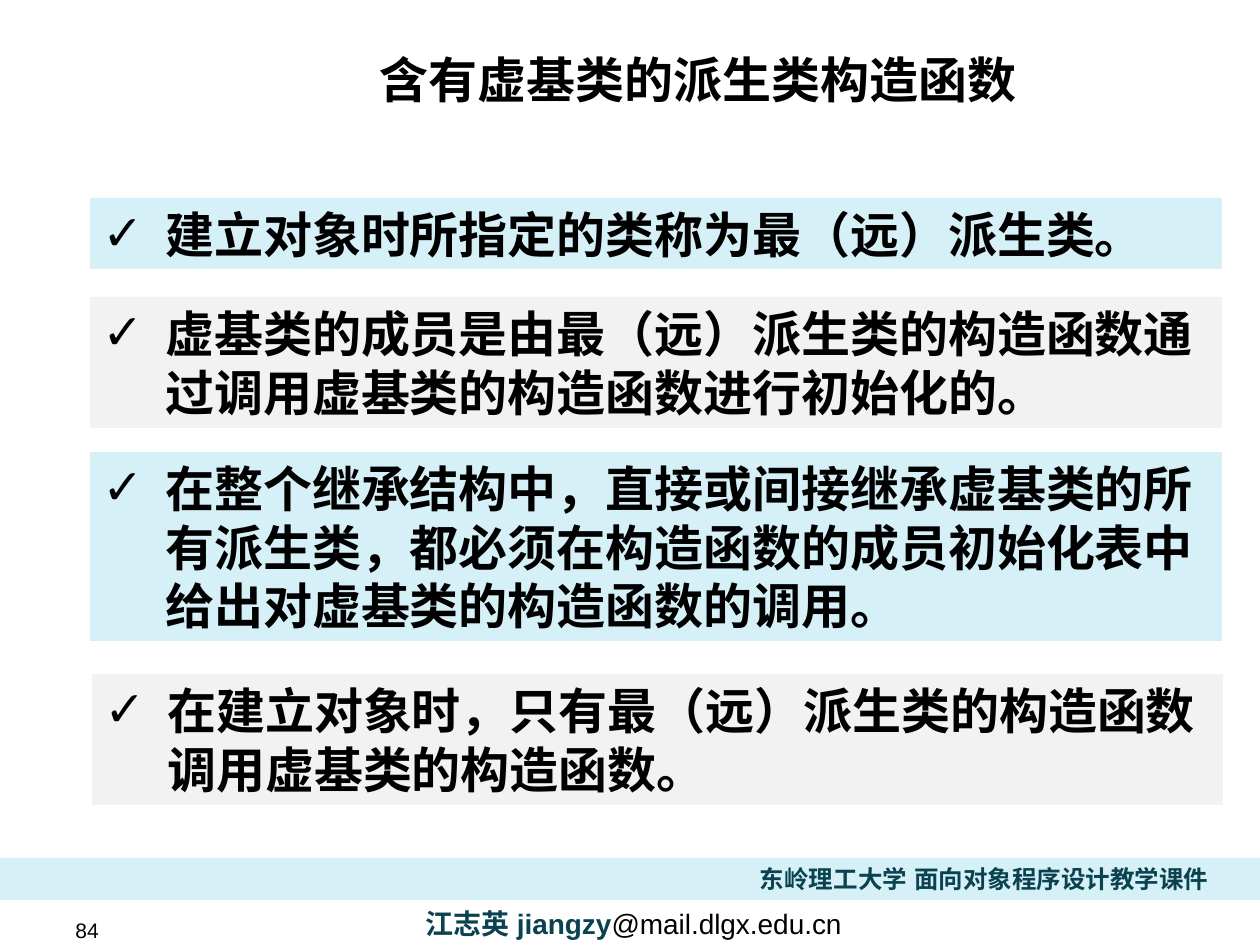
from lxml import etree
from pptx import Presentation
from pptx import util as u
from pptx.dml.color import RGBColor
from pptx.enum import shapes, text
from pptx.oxml import ns

SCALE = 914400 / 126
BLACK, TEAL, PALE_BLUE, PALE_GREY = "000000", "0A424F", "D5F0F7", "F2F2F2"
POINTS = [
    ((90, 198, 1132, 71), PALE_BLUE, "建立对象时所指定的类称为最（远）派生类。"),
    ((90, 297, 1132, 131), PALE_GREY,
     "虚基类的成员是由最（远）派生类的构造函数通过调用虚基类的构造函数进行初始化的。"),
    ((90, 452, 1132, 189), PALE_BLUE,
     "在整个继承结构中，直接或间接继承虚基类的所有派生类，"
     "都必须在构造函数的成员初始化表中给出对虚基类的构造函数的调用。"),
    ((92, 674, 1131, 131), PALE_GREY,
     "在建立对象时，只有最（远）派生类的构造函数调用虚基类的构造函数。"),
]


def px(length):
    """Turn pixels into EMU."""
    return u.Emu(round(length * SCALE))


def colour(value):
    """Turn a hex string into a colour."""
    return RGBColor.from_string(value)


def format_run(run, size, value, bold, font="Arial"):
    """Set the font of a run for Latin and East Asian text."""
    run.font.size = u.Pt(size)
    run.font.bold = bold
    run.font.color.rgb = colour(value)
    run.font.name = font
    east_asian = etree.SubElement(run.font._element, ns.qn("a:ea"))
    east_asian.set("typeface", font)


def add_bar(slide, box, fill):
    """Add a plain filled rectangle."""
    shape = slide.shapes.add_shape(shapes.MSO_SHAPE.RECTANGLE, *map(px, box))
    shape.shadow.inherit = False
    shape.fill.solid()
    shape.fill.fore_color.rgb = colour(fill)
    shape.line.fill.background()
    return shape


def add_bullet(paragraph, character):
    """Give a paragraph a hanging bullet."""
    properties = paragraph._p.get_or_add_pPr()
    properties.set("marL", str(u.Inches(0.5)))
    properties.set("indent", str(-u.Inches(0.5)))
    bullet_colour = etree.SubElement(properties, ns.qn("a:buClr"))
    etree.SubElement(bullet_colour, ns.qn("a:srgbClr")).set("val", BLACK)
    etree.SubElement(properties, ns.qn("a:buFont")).set("typeface", "Arial")
    etree.SubElement(properties, ns.qn("a:buChar")).set("char", character)


def add_point(slide, box, fill, wording):
    """Add a filled bar holding one bulleted statement."""
    frame = add_bar(slide, box, fill).text_frame
    frame.text = wording
    frame.word_wrap = True
    frame.vertical_anchor = text.MSO_ANCHOR.TOP
    paragraph = frame.paragraphs[0]
    paragraph.alignment = text.PP_ALIGN.LEFT
    add_bullet(paragraph, "✓")
    format_run(paragraph.runs[0], 28, BLACK, True)


def add_label(slide, box, parts, size, alignment, anchor=text.MSO_ANCHOR.MIDDLE):
    """Add a one-line text box from (wording, colour, bold) parts."""
    frame = slide.shapes.add_textbox(*map(px, box)).text_frame
    frame.word_wrap = True
    frame.vertical_anchor = anchor
    paragraph = frame.paragraphs[0]
    paragraph.alignment = alignment
    for wording, value, bold in parts:
        run = paragraph.add_run()
        run.text = wording
        format_run(run, size, value, bold)


def set_title(slide, box, wording):
    """Place and format the title placeholder."""
    title = slide.shapes.title
    title.left, title.top, title.width, title.height = map(px, box)
    frame = title.text_frame
    frame.text = wording
    frame.word_wrap = True
    frame.vertical_anchor = text.MSO_ANCHOR.TOP
    frame.margin_left = frame.margin_right = px(1)
    frame.margin_top = frame.margin_bottom = px(1)
    paragraph = frame.paragraphs[0]
    paragraph.alignment = text.PP_ALIGN.CENTER
    paragraph.line_spacing = 1.0
    format_run(paragraph.runs[0], 28, BLACK, True, "Noto Sans CJK SC")


def add_footer(slide):
    """Add the footer band, course name, contact and page number."""
    centre = text.PP_ALIGN.CENTER
    add_bar(slide, (0, 858, 1260, 42), PALE_BLUE)
    add_label(slide, (348, 910, 571, 26),
              [("江志英 jiangzy", TEAL, True), ("@mail.dlgx.edu.cn", BLACK, False)],
              16, centre)
    add_label(slide, (63, 917, 134, 26), [("84", BLACK, False)],
              12, text.PP_ALIGN.JUSTIFY)
    add_label(slide, (732, 858, 505, 42),
              [("东岭理工大学 面向对象程序设计教学课件", TEAL, True)],
              14, centre, text.MSO_ANCHOR.TOP)


def main():
    """Build and save the slide."""
    presentation = Presentation()
    presentation.slide_width, presentation.slide_height = px(1260), px(945)
    slide = presentation.slides.add_slide(presentation.slide_layouts[5])
    add_footer(slide)
    set_title(slide, (136, 48, 1124, 105), "含有虚基类的派生类构造函数")
    for box, fill, wording in POINTS:
        add_point(slide, box, fill, wording)
    presentation.save("out.pptx")


if __name__ == "__main__":
    main()
